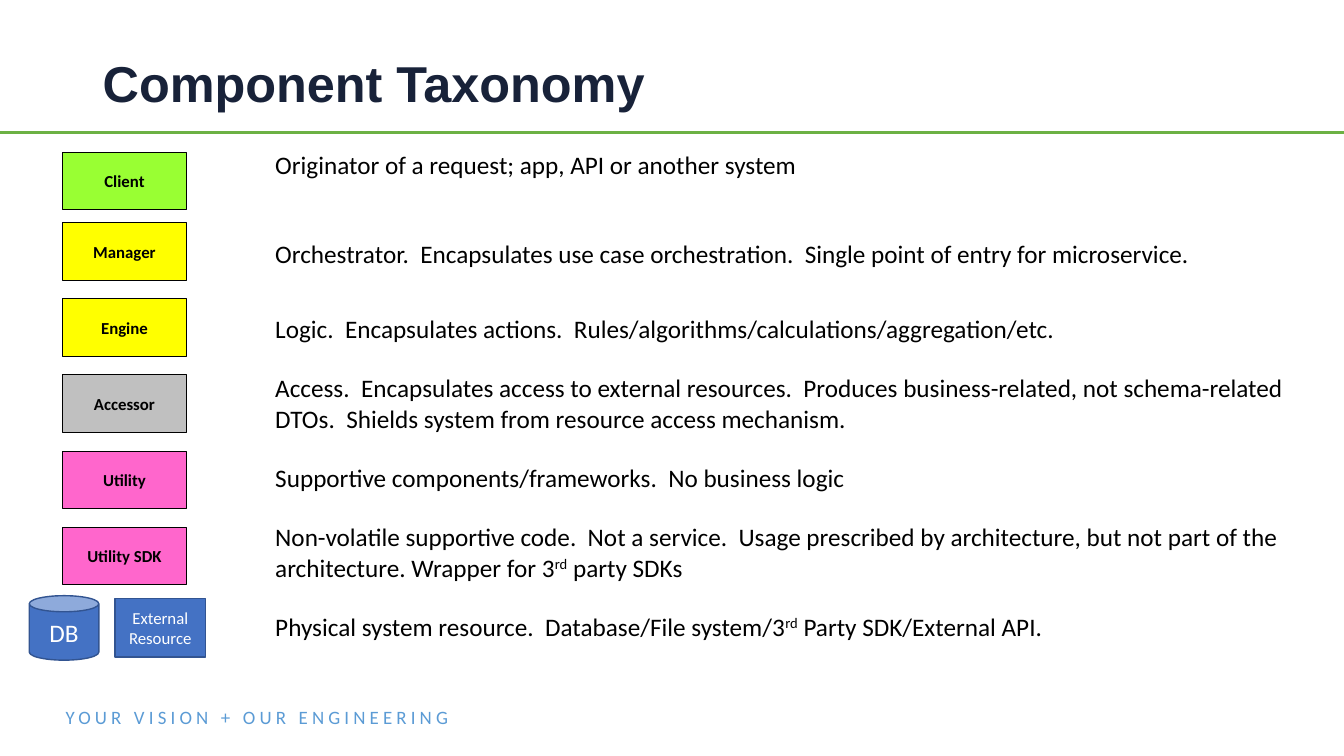
from pptx import Presentation
from pptx.dml.color import RGBColor
from pptx.enum import shapes, text
from pptx.util import Inches, Pt

BLACK = RGBColor(0x00, 0x00, 0x00)
WHITE = RGBColor(0xFF, 0xFF, 0xFF)
NAVY = RGBColor(0x18, 0x22, 0x39)
GREEN = RGBColor(0x6C, 0xB1, 0x44)
SKY = RGBColor(0x5B, 0x9B, 0xD5)
LIME = RGBColor(0x99, 0xFF, 0x33)
YELLOW = RGBColor(0xFF, 0xFF, 0x00)
GREY = RGBColor(0xC0, 0xC0, 0xC0)
PINK = RGBColor(0xFF, 0x66, 0xCC)
BLUE = RGBColor(0x44, 0x72, 0xC4)
EDGE = RGBColor(0x32, 0x54, 0x91)

RECT = shapes.MSO_SHAPE.RECTANGLE
CAN = shapes.MSO_SHAPE.CAN
MIDDLE = text.MSO_ANCHOR.MIDDLE

KINDS = [("Client", LIME), ("Manager", YELLOW), ("Engine", YELLOW),
         ("Accessor", GREY), ("Utility", PINK), ("Utility SDK", PINK)]

# Text between carets is superscript.
ROLES = [
    "Originator of a request; app, API or another system",
    "Orchestrator.  Encapsulates use case orchestration.  "
    "Single point of entry for microservice.",
    "Logic.  Encapsulates actions.  "
    "Rules/algorithms/calculations/aggregation/etc.",
    "Access.  Encapsulates access to external resources.  "
    "Produces business-related, not schema-related DTOs.  "
    "Shields system from resource access mechanism.",
    "Supportive components/frameworks.  No business logic",
    "Non-volatile supportive code.  Not a service.  "
    "Usage prescribed by architecture, but not part of the architecture. "
    "Wrapper for 3^rd^ party SDKs",
    "Physical system resource.  "
    "Database/File system/3^rd^ Party SDK/External API.",
]


def style(para, size, color, bold=False, name="Calibri"):
    font = para.font
    font.size, font.bold, font.name = Pt(size), bold, name
    font.color.rgb = color


def write(para, words):
    """Add runs, raising the parts between carets."""
    for i, part in enumerate(words.split("^")):
        run = para.add_run()
        run.text = part
        if i % 2:
            run.font._element.set("baseline", "30000")


def block(slide, kind, box, fill, edge=None, width=1):
    shape = slide.shapes.add_shape(kind, *map(Inches, box))
    shape.shadow.inherit = False
    shape.fill.solid()
    shape.fill.fore_color.rgb = fill
    if edge is None:
        shape.line.fill.background()
    else:
        shape.line.color.rgb = edge
        shape.line.width = Pt(width)
    return shape


def label(shape, words, size, color, bold=False):
    frame = shape.text_frame
    frame.word_wrap = True
    frame.vertical_anchor = MIDDLE
    para = frame.paragraphs[0]
    para.text = words
    para.alignment = text.PP_ALIGN.CENTER
    style(para, size, color, bold)


def line(slide, box):
    """Add a one-line text box and return its frame."""
    frame = slide.shapes.add_textbox(*map(Inches, box)).text_frame
    frame.word_wrap = True
    frame.vertical_anchor = MIDDLE
    return frame


def header(slide, x, y, w, h):
    para = line(slide, (x + 0.92, y, 11.5, 0.75)).paragraphs[0]
    para.text = "Component Taxonomy"
    para.line_spacing = 0.9
    style(para, 36, NAVY, True, "Arial")
    block(slide, RECT, (x, y + h - 0.03, w, 0.03), GREEN)


def footer(slide, x, y, w, h):
    frame = line(slide, (x, y, w, h))
    frame.margin_left = frame.margin_right = 0
    frame.margin_top = frame.margin_bottom = 0
    para = frame.paragraphs[0]
    run = para.add_run()
    run.text = "YOUR VISION + OUR ENGINEERING"
    run.font._element.set("spc", "300")
    style(para, 13.5, SKY)


def roles(slide, x, y, w, h):
    """Add the table of descriptions; its first column holds the badges."""
    frame = slide.shapes.add_table(len(ROLES), 2, *map(Inches, (x, y, w, h)))
    table = frame.table
    table.first_row = table.horz_banding = False
    table.columns[0].width = Inches(2.5)
    table.columns[1].width = Inches(w - 2.5)
    for row, words in zip(table.rows, ROLES):
        for cell in row.cells:
            cell.fill.background()
            cell.vertical_anchor = MIDDLE
        para = row.cells[1].text_frame.paragraphs[0]
        write(para, words)
        style(para, 18, BLACK)
    first = table.cell(0, 1)
    first.vertical_anchor = text.MSO_ANCHOR.TOP
    first.margin_top = Inches(0.07)


def badges(slide, x, y, w, h):
    step = 0.755
    for i, (name, fill) in enumerate(KINDS):
        top = y + 0.7 + (i - 1) * step if i else y
        badge = block(slide, RECT, (x, top, w, h), fill, BLACK, 0.75)
        label(badge, name, 12, BLACK, True)


def stores(slide, x, y):
    disk = block(slide, CAN, (x, y, 0.69, 0.64), BLUE, EDGE)
    label(disk, "DB", 18, WHITE)
    outer = block(slide, RECT, (x + 0.85, y + 0.03, 0.9, 0.58), BLUE, EDGE)
    label(outer, "External Resource", 12, WHITE)


def main():
    deck = Presentation()
    deck.slide_width, deck.slide_height = Inches(13.33), Inches(7.5)
    slide = deck.slides.add_slide(deck.slide_layouts[6])
    header(slide, 0, 0.48, 13.33, 0.85)
    footer(slide, 0.65, 6.99, 9.25, 0.24)
    roles(slide, 0.13, 1.42, 13.08, 5.18)
    badges(slide, 0.62, 1.51, 1.23, 0.57)
    stores(slide, 0.29, 5.91)
    deck.save("out.pptx")


if __name__ == "__main__":
    main()
